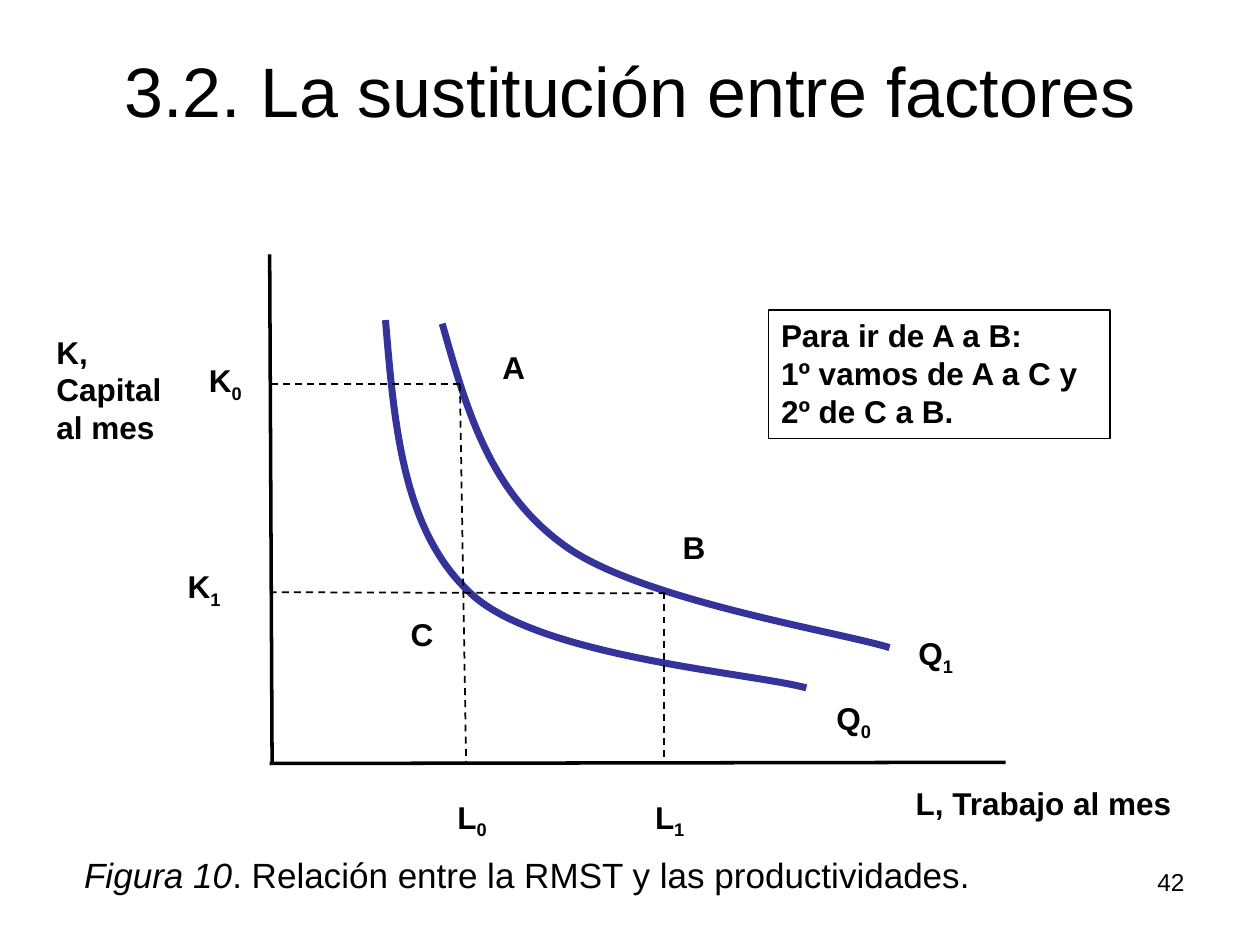
from lxml.etree import SubElement
from pptx import Presentation
from pptx.dml.color import RGBColor
from pptx.enum.dml import MSO_LINE
from pptx.enum.shapes import MSO_CONNECTOR, MSO_SHAPE
from pptx.enum.text import MSO_ANCHOR, PP_ALIGN
from pptx.oxml.ns import qn
from pptx.util import Pt

BLACK = RGBColor(0x00, 0x00, 0x00)
BLUE = RGBColor(0x33, 0x33, 0x99)
FONT = "Arial"

# Content: left, top, width, height in points
TITLE = ("3.2. La sustitución entre factores", (36, 21.6, 648, 59))
NUMBER = ("42", (516, 492, 168, 37))
CAPTION = (("Figura 10", True), (". Relación entre la RMST y las productividades.", False))
CAPTION_AREA = (41, 484, 525, 32)
NOTE = ["Para ir de A a B:", "1º vamos de A a C y", "2º de C a B."]
NOTE_AREA = (439.2, 177.1, 195, 73.5)

AXIS_TITLES = [
    (["L, Trabajo al mes"], (516.2, 444.2, 161, 29)),
    (["K, Capital", "al mes"], (25.2, 186.5, 97, 50)),
]
# Letter, subscript, left, top
LABELS = [
    ("K", "1", 100.1, 320.4), ("K", "0", 112.3, 203),
    ("L", "1", 367.2, 452.2), ("L", "0", 254.2, 452.2),
    ("A", "", 280, 195.1), ("B", "", 383, 298.1), ("C", "", 227.5, 347.8),
    ("Q", "1", 517.7, 358.6), ("Q", "0", 470.9, 396),
]
# Start and end points
AXES = [((154.1, 145.4), (155.5, 436.3)), ((154.1, 436.3), (574.6, 435.6))]
GUIDES = [
    ((262.8, 219.6), (266.4, 436.3)),
    ((154.1, 338.4), (383, 339.1)),
    ((262.8, 219.6), (151.9, 219.6)),
    ((379.4, 338.4), (379.4, 436.3)),
]
# Start point, then three Bezier points per arc
ISOQUANTS = [
    [(220.3, 182.9), (225.4, 244.1), (230.4, 305.3), (270.7, 340.6),
     (311, 375.8), (429.1, 384.5), (460.8, 393.1)],
    [(252.7, 185), (266.4, 233.3), (279.4, 280.8), (322.6, 311.8),
     (365, 342.7), (477.4, 360.7), (508.3, 370.1)],
]


def points(values):
    return [Pt(value) for value in values]


def add_span(para, text, subscript=False, **formats):
    span = para.add_run()
    span.text = text
    span.font.color.rgb = BLACK
    for name, value in {"name": FONT, "size": Pt(18), **formats}.items():
        setattr(span.font, name, value)
    if subscript:
        span.font._element.set("baseline", "-25000")


def add_box(page, area, wrap=False, anchor=MSO_ANCHOR.TOP):
    frame = page.shapes.add_textbox(*points(area)).text_frame
    frame.word_wrap = wrap
    frame.vertical_anchor = anchor
    return frame


def add_lines(frame, lines, align=PP_ALIGN.LEFT, **formats):
    for index, text in enumerate(lines):
        para = frame.add_paragraph() if index else frame.paragraphs[0]
        para.alignment = align
        add_span(para, text, **formats)


def add_line(page, start, end, width, dash=None):
    line = page.shapes.add_connector(MSO_CONNECTOR.STRAIGHT, *points(start + end))
    line.line.color.rgb = BLACK
    line.line.width = Pt(width)
    line.line.dash_style = dash
    SubElement(line._element.spPr, qn("a:effectLst"))


def add_curve(page, curve):
    start, *rest = [points(point) for point in curve]
    builder = page.shapes.build_freeform(*start)
    builder.add_line_segments(rest, close=False)
    shape = builder.convert_to_shape()
    shape.shadow.inherit = False
    shape.fill.background()
    shape.line.color.rgb = BLUE
    shape.line.width = Pt(4)
    # Turn each three straight segments into one Bezier arc
    outline = next(shape._element.iter(qn("a:path")))
    segments = outline.findall(qn("a:lnTo"))
    for index, segment in enumerate(segments):
        if index % 3 == 0:
            arc = SubElement(outline, qn("a:cubicBezTo"))
        arc.append(segment[0])
        outline.remove(segment)


deck = Presentation()
deck.slide_width, deck.slide_height = Pt(720), Pt(540)
page = deck.slides.add_slide(deck.slide_layouts[6])

# Title and page number
text, area = TITLE
add_lines(add_box(page, area, True, MSO_ANCHOR.MIDDLE), [text],
          PP_ALIGN.CENTER, size=Pt(40))
text, area = NUMBER
add_lines(add_box(page, area, True), [text], PP_ALIGN.RIGHT, size=Pt(14))

# Axes, isoquants and dashed guides
for start, end in AXES:
    add_line(page, start, end, 2)
for curve in ISOQUANTS:
    add_curve(page, curve)
for start, end in GUIDES:
    add_line(page, start, end, 1, MSO_LINE.DASH)

# Axis titles and point labels
for lines, area in AXIS_TITLES:
    add_lines(add_box(page, area), lines, bold=True)
for letter, index, left, top in LABELS:
    para = add_box(page, (left, top, 34, 29)).paragraphs[0]
    para.alignment = PP_ALIGN.LEFT
    add_span(para, letter, bold=True)
    if index:
        add_span(para, index, subscript=True, bold=True)

# Framed note
note = page.shapes.add_shape(MSO_SHAPE.RECTANGLE, *points(NOTE_AREA))
note.shadow.inherit = False
note.fill.background()
note.line.color.rgb = BLACK
note.line.width = Pt(1)
note.text_frame.word_wrap = True
note.text_frame.vertical_anchor = MSO_ANCHOR.TOP
add_lines(note.text_frame, NOTE, bold=True)

# Figure caption
para = add_box(page, CAPTION_AREA).paragraphs[0]
for text, italic in CAPTION:
    add_span(para, text, size=Pt(20), italic=italic)

deck.save("out.pptx")
